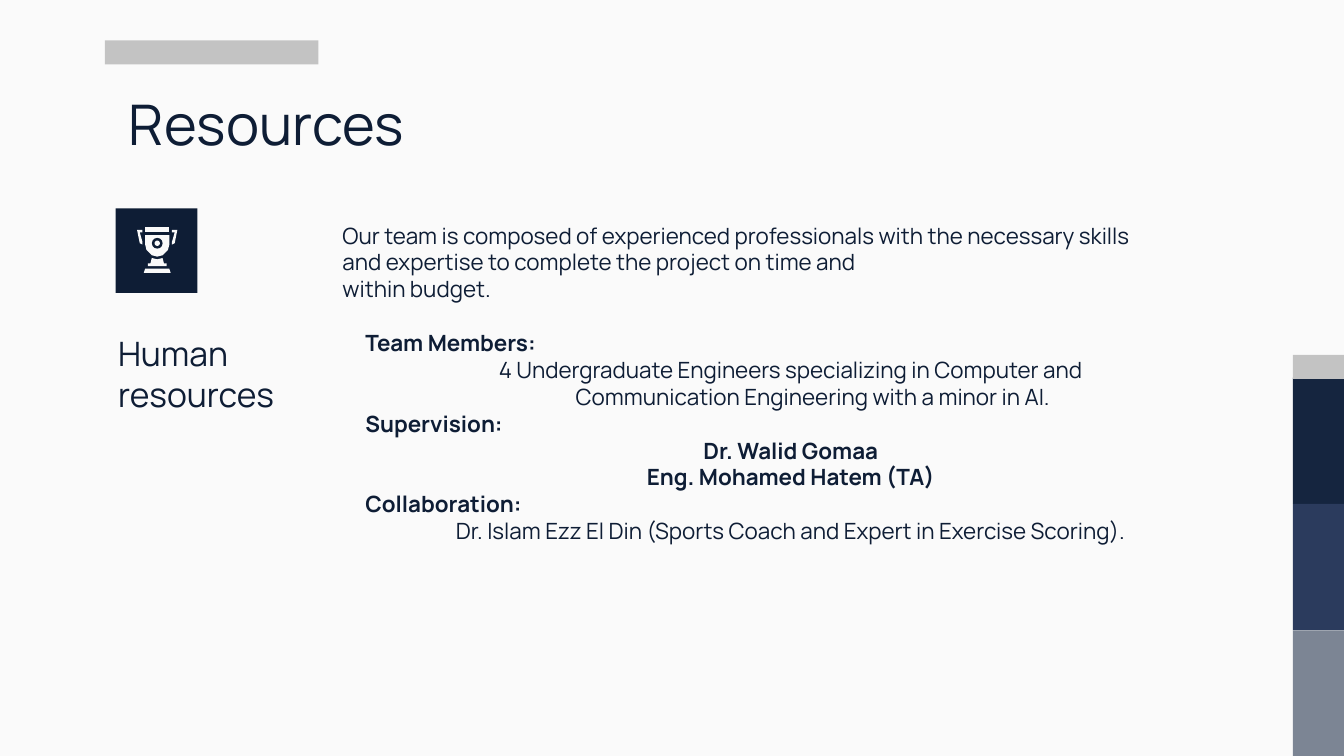
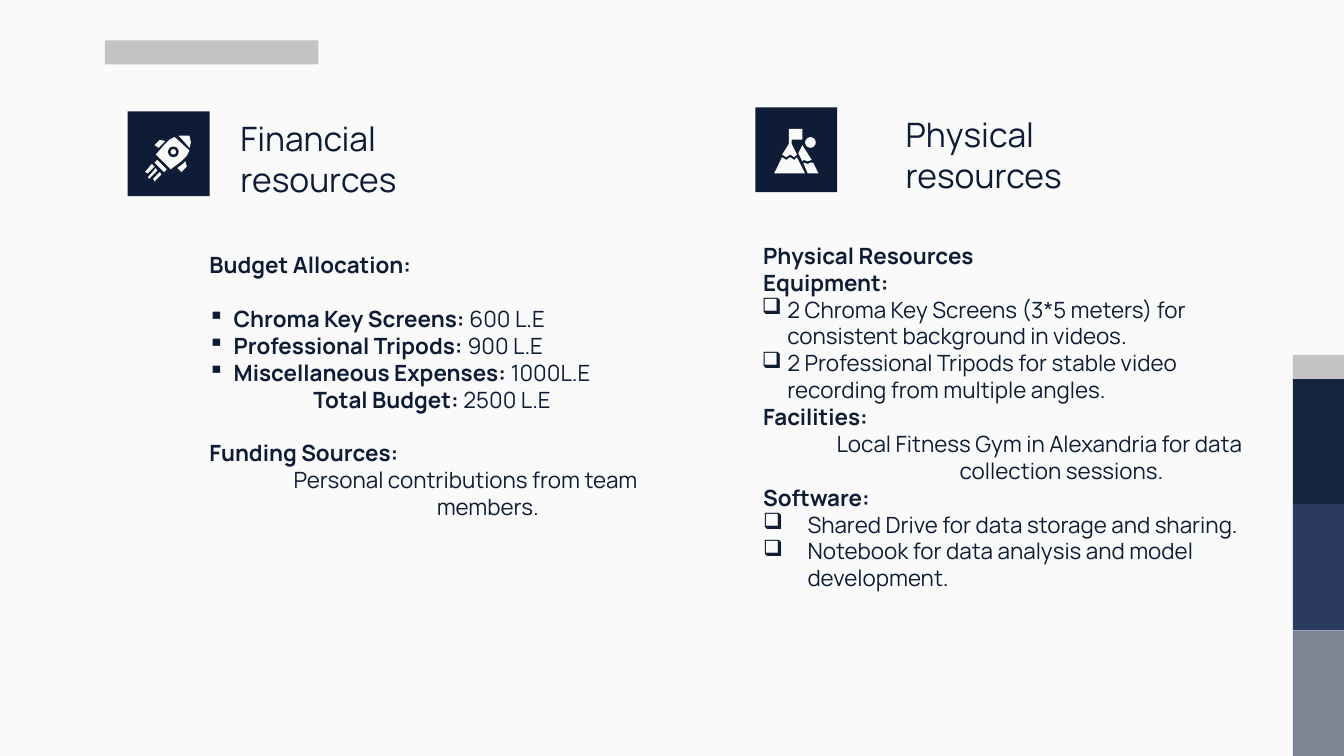
from pptx import Presentation
from pptx.dml.color import RGBColor
from pptx.enum.shapes import MSO_SHAPE
from pptx.enum.text import MSO_ANCHOR, PP_ALIGN
from pptx.oxml.ns import qn
from pptx.util import Pt
from lxml import etree

RECT, OVAL = MSO_SHAPE.RECTANGLE, MSO_SHAPE.OVAL
TOP, BOTTOM = MSO_ANCHOR.TOP, MSO_ANCHOR.BOTTOM
LEFT, CENTER = PP_ALIGN.LEFT, PP_ALIGN.CENTER
PX = 9144  # 100 px to the inch


class Theme:
    font = "Manrope"
    title, sub, body, gap = 30, 18, 12, 14.4
    paper, ink, grey = "FAFAFA", "0E1D35", "C3C3C3"
    bands = ["15253F", "2B3B5D", "7C8594"]


# Paragraph styles: left margin, first-line indent, alignment, level, bullet
STYLES = {
    "plain": (0, 0, LEFT, 0, None),
    "head": (50, -33, LEFT, 0, None),
    "total": (50, -33, CENTER, 0, None),
    "mid": (100, -33, CENTER, 1, None),
    "dot": (35, -19, LEFT, 0, "▪"),
    "box": (35, -19, LEFT, 0, "❑"),
    "wide": (50, -33, LEFT, 0, "❑"),
}

# Icons: outlines and discs (x, y, size, colour), measured from the tile corner
HANDLE = [(46, 16), (42, 16), (42, 18), (44, 18), (42, 25), (42, 27), (44, 26)]
TILE = (61, 63)
ICONS = {
    "trophy": (
        [
            [(27, 37), (26, 41), (24, 41), (24, 43), (38, 43), (38, 41),
             (36, 41), (35, 37), (31, 38)],
            [(22, 45), (21, 48), (41, 48), (40, 45)],
            [(22, 20), (22, 27), (23, 31), (27, 35), (31, 36), (35, 35),
             (39, 31), (40, 27), (40, 20)],
            [(22, 14), (22, 18), (40, 18), (40, 14)],
            HANDLE,
            [(62 - x, y) for x, y in HANDLE],
        ],
        [(27, 22, 8, Theme.ink), (29, 24, 4, Theme.paper)],
    ),
    "rocket": (
        [
            [(22, 36), (20, 38), (27, 45), (29, 43)],
            [(24, 21), (20, 25), (23, 27), (26, 24), (28, 22)],
            [(43, 37), (41, 39), (37, 42), (40, 45), (44, 41)],
            [(18, 39), (13, 45), (15, 46), (20, 41)],
            [(21, 42), (15, 49), (16, 50), (22, 44)],
            [(24, 45), (19, 50), (20, 52), (25, 47)],
            [(42, 18), (38, 18), (46, 27), (47, 23), (46, 18)],
            [(35, 19), (31, 21), (27, 25), (21, 32), (32, 43), (40, 37),
             (44, 33), (46, 29)],
        ],
        [(30, 26, 8, Theme.ink), (32, 28, 4, Theme.paper)],
    ),
    "mountain": (
        [
            [(31, 37), (29, 39), (26, 37), (23, 39), (20, 37), (14, 49),
             (37, 49)],
            [(25, 16), (25, 27), (20, 35), (23, 37), (26, 35), (29, 37),
             (31, 35), (27, 27), (27, 24), (35, 24), (35, 16)],
            [(35, 28), (32, 34), (35, 40), (36, 39), (39, 40), (42, 39)],
            [(41, 41), (39, 42), (36, 41), (36, 42), (39, 49), (47, 49),
             (43, 41)],
        ],
        [(37, 22, 8, Theme.paper)],
    ),
}

# Slides: body lines are (style, bold part, regular part, gap above)
SLIDES = [
    {
        "title": "Resources",
        "subs": [("Human\nresources", (78, 241))],
        "icons": [("trophy", (86, 155))],
        "bodies": [((245, 155, 620, 323), [
            ("plain", "", "Our team is composed of experienced professionals with the "
             "necessary skills and expertise to complete the project on time and", False),
            ("plain", "", "within budget.", False),
            ("head", "Team Members:", "", True),
            ("mid", "", "4 Undergraduate Engineers specializing in Computer and "
             "Communication Engineering with a minor in AI.", False),
            ("head", "Supervision:", "", False),
            ("mid", "Dr. Walid Gomaa", "", False),
            ("mid", "Eng. Mohamed Hatem (TA)", "", False),
            ("head", "Collaboration:", "", False),
            ("mid", "", "Dr. Islam Ezz El Din (Sports Coach and Expert in "
             "Exercise Scoring).", False),
        ])],
    },
    {
        "title": None,
        "subs": [("Financial\nresources", (169, 81)),
                 ("Physical\nresources", (664, 78))],
        "icons": [("rocket", (95, 83)), ("mountain", (562, 80))],
        "bodies": [
            ((129, 177, 368, 258), [
                ("head", "Budget Allocation:", "", False),
                ("dot", "Chroma Key Screens: ", "600 L.E", True),
                ("dot", "Professional Tripods: ", "900 L.E", False),
                ("dot", "Miscellaneous Expenses: ", "1000L.E", False),
                ("total", "Total Budget: ", "2500 L.E", False),
                ("head", "Funding Sources:", "", True),
                ("mid", "", "Personal contributions from team members.", False),
            ]),
            ((541, 170, 398, 342), [
                ("head", "Physical Resources", "", False),
                ("head", "Equipment:", "", False),
                ("box", "", "2 Chroma Key Screens (3*5 meters) for consistent "
                 "background in videos.", False),
                ("box", "", "2 Professional Tripods for stable video recording "
                 "from multiple angles.", False),
                ("head", "Facilities:", "", False),
                ("mid", "", "Local Fitness Gym in Alexandria for data collection "
                 "sessions.", False),
                ("head", "Software:", "", False),
                ("wide", "", "Shared Drive for data storage and sharing.", False),
                ("wide", "", "Notebook for data analysis and model development.",
                 False),
            ]),
        ],
    },
]


def paint(shape, color):
    shape.shadow.inherit = False
    shape.fill.solid()
    shape.fill.fore_color.rgb = RGBColor.from_string(color)
    shape.line.fill.background()


def block(slide, kind, area, color):
    paint(slide.shapes.add_shape(kind, *(n * PX for n in area)), color)


def frame(slide, area, anchor=TOP):
    text = slide.shapes.add_textbox(*(n * PX for n in area)).text_frame
    text.word_wrap = True
    text.vertical_anchor = anchor
    text.margin_left = text.margin_right = 10 * PX
    text.margin_top = text.margin_bottom = 10 * PX
    return text


def ink(run, size, bold=False):
    font = run.font
    font.name, font.size, font.bold = Theme.font, Pt(size), bold
    font.color.rgb = RGBColor.from_string(Theme.ink)


def label(slide, words, area, size, anchor=TOP):
    text = frame(slide, area, anchor)
    text.text = words
    for para in text.paragraphs:
        for run in para.runs:
            ink(run, size)


def style(para, name):
    margin, indent, align, level, mark = STYLES[name]
    para.alignment, para.level = align, level
    props = para._p.get_or_add_pPr()
    props.set("marL", str(margin * PX))
    props.set("indent", str(indent * PX))
    if mark:
        tint = etree.SubElement(props, qn("a:buClr"))
        etree.SubElement(tint, qn("a:srgbClr"), val=Theme.ink)
        etree.SubElement(props, qn("a:buChar"), char=mark)


def body(slide, area, lines):
    text = frame(slide, area)
    for i, (name, strong, rest, gap) in enumerate(lines):
        para = text.add_paragraph() if i else text.paragraphs[0]
        style(para, name)
        if gap:
            para.space_before = Pt(Theme.gap)
        for words, bold in ((strong, True), (rest, False)):
            if words:
                run = para.add_run()
                run.text = words
                ink(run, Theme.body, bold)


def icon(slide, name, spot):
    left, top = spot
    paths, discs = ICONS[name]
    block(slide, RECT, spot + TILE, Theme.ink)
    for path in paths:
        dots = [(left + x, top + y) for x, y in path]
        form = slide.shapes.build_freeform(*dots[0], scale=PX)
        form.add_line_segments(dots[1:], close=True)
        paint(form.convert_to_shape(), Theme.paper)
    for x, y, size, color in discs:
        block(slide, OVAL, (left + x, top + y, size, size), color)


def base(deck):
    """Add a slide with the shared background, top bar and side bands."""
    slide = deck.slides.add_slide(deck.slide_layouts[6])
    fill = slide.background.fill
    fill.solid()
    fill.fore_color.rgb = RGBColor.from_string(Theme.paper)
    for i, color in enumerate(Theme.bands):
        block(slide, RECT, (962, 281 + 94 * i, 40, 94), color)
    for left, top, width in ((962, 264, 40), (78, 30, 159)):
        block(slide, RECT, (left, top, width, 18), Theme.grey)
    return slide


def main():
    deck = Presentation()
    deck.slide_width, deck.slide_height = 1000 * PX, 1125 * PX // 2
    for page in SLIDES:
        slide = base(deck)
        if page["title"]:
            label(slide, page["title"], (86, 57, 843, 63), Theme.title)
        for words, spot in page["subs"]:
            label(slide, words, spot + (259, 77), Theme.sub, BOTTOM)
        for area, lines in page["bodies"]:
            body(slide, area, lines)
        for name, spot in page["icons"]:
            icon(slide, name, spot)
    deck.save("out.pptx")


if __name__ == "__main__":
    main()
